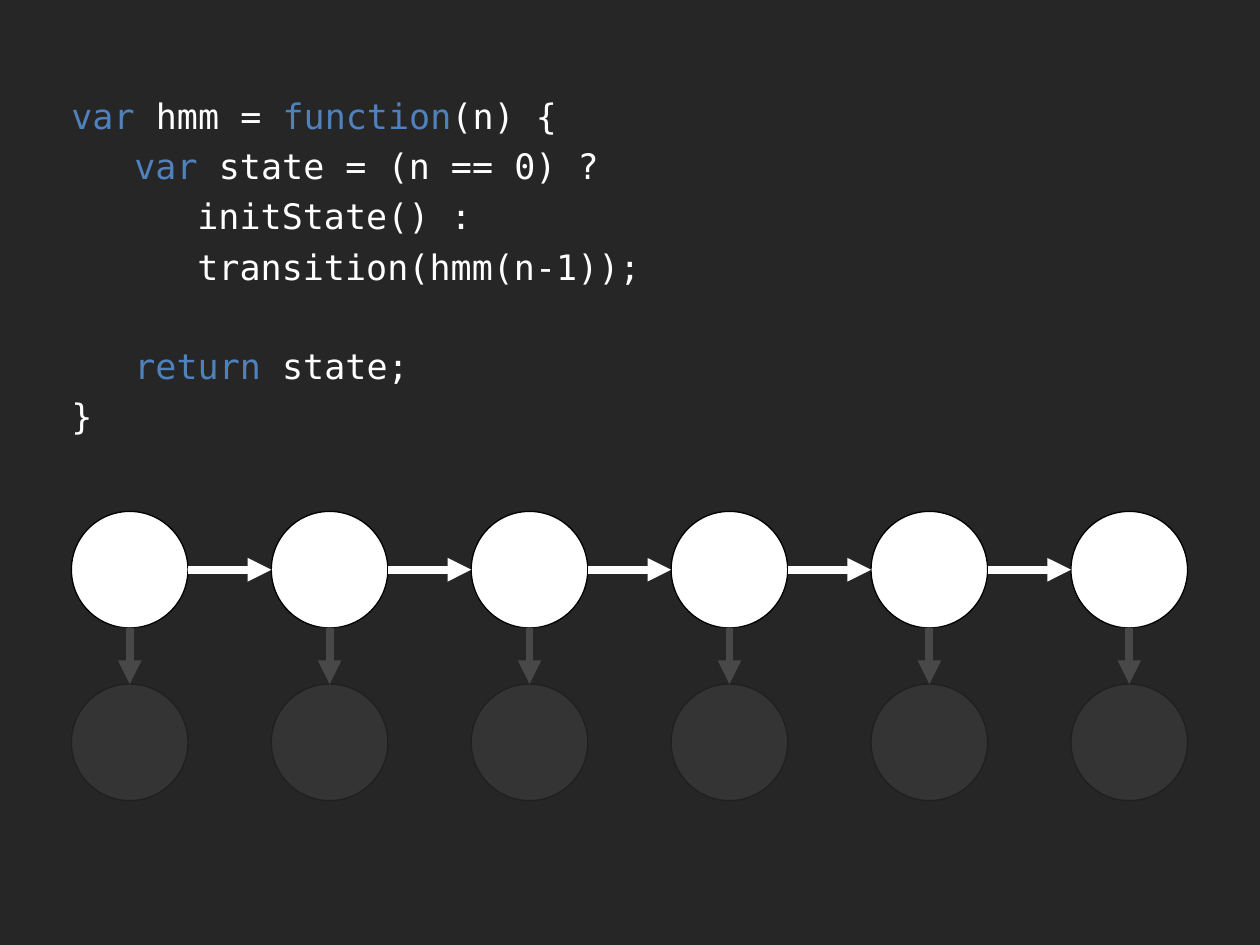
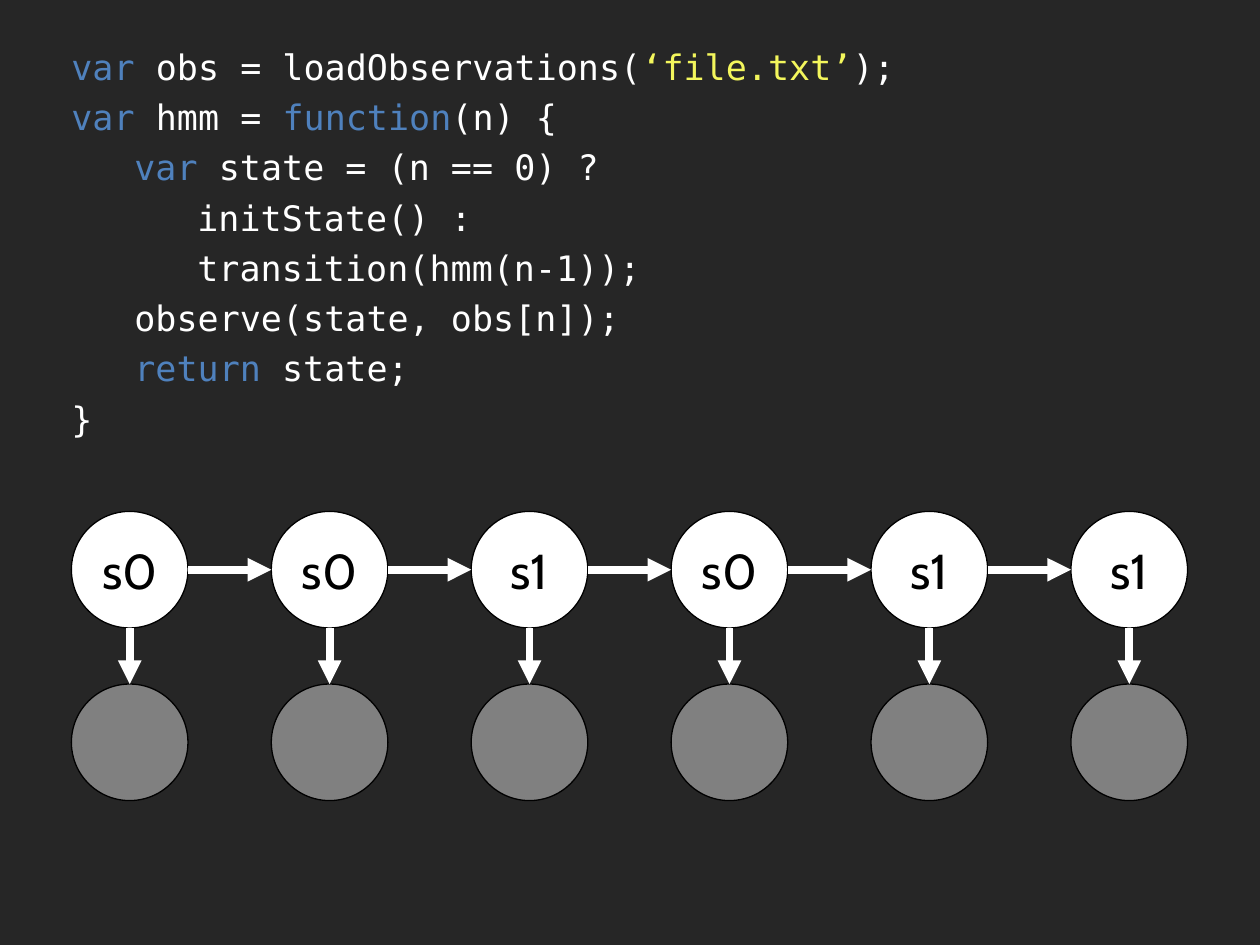
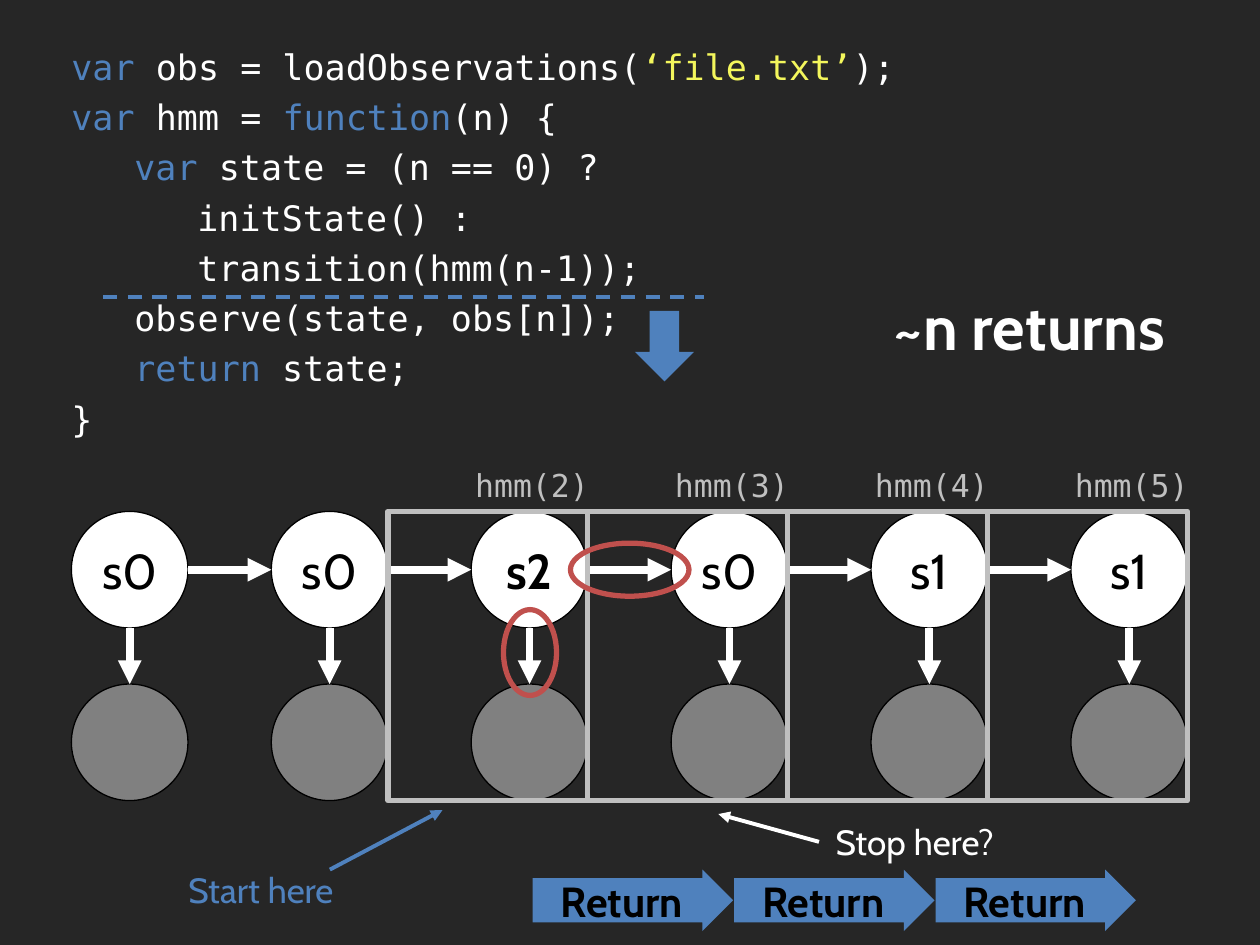
from lxml import etree
from pptx import Presentation
from pptx import util as u
from pptx.dml import color
from pptx.enum import dml, shapes, text
from pptx.oxml import ns

# Shared look
DARK, WHITE, BLACK = "262626", "FFFFFF", "000000"
BLUE, YELLOW, RED = "4F81BD", "F3F65C", "C0504D"
GREY, SILVER = "808080", "BFBFBF"
CODE_FONT, TEXT_FONT = "DejaVu Sans Mono", "Cabin"
TOKENS = {"var ": BLUE, "function": BLUE, "return ": BLUE, "‘file.txt’": YELLOW}

# Shared places, in centimetres
CODE_BOX = (1.19, 0.79, 18.49, 8.74)
LINE_PITCH = 0.99
LINE_GAP = 4.7
INDENT = 1.27
CHAIN_BOX = (1.44, 10.31, 22.5, 5.83)
STEPS, STEP, NODE, ROW = 6, 4.03, 2.35, 3.48

# Code lines as (indent, tokens split by "|")
LOAD = (0, "var |obs = loadObservations(|‘file.txt’|);")
HMM = [
    (0, "var |hmm = |function|(n) {"),
    (1, "var |state = (n == 0) ?"),
    (2, "initState() :"),
    (2, "transition(hmm(n-1));"),
]
OBSERVE = (1, "observe(state, obs[n]);")
END = [(1, "return |state;"), (0, "}")]


def rgb(hex_colour):
    return color.RGBColor.from_string(hex_colour)


def cm(*lengths):
    return [u.Cm(length) for length in lengths]


def add_run(paragraph, words, font=TEXT_FONT, size=20, colour=WHITE, bold=False):
    run = paragraph.add_run()
    run.text = words
    run.font.name = font
    run.font.size = u.Pt(size)
    run.font.bold = bold
    run.font.color.rgb = rgb(colour)


def write(shape, words, **style):
    """Centre one line of text in a shape."""
    frame = shape.text_frame
    frame.word_wrap = False
    frame.vertical_anchor = text.MSO_ANCHOR.MIDDLE
    frame.margin_left = frame.margin_right = 0
    frame.margin_top = frame.margin_bottom = 0
    frame.paragraphs[0].alignment = text.PP_ALIGN.CENTER
    add_run(frame.paragraphs[0], words, **style)


def add_label(slide, box, words, **style):
    write(slide.shapes.add_textbox(*cm(*box)), words, **style)


def add_figure(slide, kind, box, fill=None, line=None, width=0.75, alpha=None):
    figure = slide.shapes.add_shape(kind, *cm(*box))
    figure.shadow.inherit = False
    if fill:
        figure.fill.solid()
        figure.fill.fore_color.rgb = rgb(fill)
        if alpha:
            tint = figure.fill._xPr.find(".//" + ns.qn("a:srgbClr"))
            etree.SubElement(tint, ns.qn("a:alpha"), val=str(alpha * 1000))
    else:
        figure.fill.background()
    if line:
        figure.line.color.rgb = rgb(line)
        figure.line.width = u.Pt(width)
    else:
        figure.line.fill.background()
    return figure


def add_line(slide, start, end, colour=WHITE, width=4.5, arrow=True, dash=None):
    link = slide.shapes.add_connector(
        shapes.MSO_CONNECTOR.STRAIGHT, *cm(*start, *end))
    link.line.color.rgb = rgb(colour)
    link.line.width = u.Pt(width)
    if dash:
        link.line.dash_style = dash
    properties = link._element.spPr
    if arrow:
        etree.SubElement(properties.find(ns.qn("a:ln")), ns.qn("a:tailEnd"),
                         type="triangle")
    etree.SubElement(properties, ns.qn("a:effectLst"))


def add_code(slide, box, lines, gap_before=None):
    """Write code lines; the line numbered gap_before has one free line above."""
    frame = slide.shapes.add_textbox(*cm(*box)).text_frame
    frame.word_wrap = True
    for number, (indent, line) in enumerate(lines):
        paragraph = frame.paragraphs[0] if number == 0 else frame.add_paragraph()
        if number:
            free = u.Cm(LINE_PITCH).pt if number == gap_before else 0
            paragraph.space_before = u.Pt(LINE_GAP + free)
        properties = paragraph._p.get_or_add_pPr()
        properties.set("marL", str(u.Cm(INDENT * indent)))
        properties.set("indent", "0")
        for token in line.split("|"):
            add_run(paragraph, token, font=CODE_FONT,
                    colour=TOKENS.get(token, WHITE))


def add_chain(slide, box, states=(), bold_step=None):
    """Draw hidden states in a row, each with its observation below."""
    left, top = box[:2]
    radius = NODE / 2
    for step in range(STEPS):
        x = left + step * STEP
        state = add_figure(slide, shapes.MSO_SHAPE.OVAL, (x, top, NODE, NODE),
                           WHITE, BLACK)
        if states:
            write(state, states[step], size=28, colour=BLACK,
                  bold=step == bold_step)
        add_figure(slide, shapes.MSO_SHAPE.OVAL, (x, top + ROW, NODE, NODE),
                   GREY, BLACK)
        add_line(slide, (x + radius, top + NODE), (x + radius, top + ROW))
        if step:
            y = top + radius
            add_line(slide, (x - STEP + NODE, y), (x, y))


def add_calls(slide, box, first):
    """Frame each recursive call from step first on, and name it."""
    left, top, _, height = box
    for step in range(STEPS - 1, first - 1, -1):
        right = left + step * STEP + NODE
        add_figure(slide, shapes.MSO_SHAPE.RECTANGLE,
                   (right - STEP, top, STEP, height), line=SILVER, width=3)
        add_label(slide, (right - 2.85, top - 1.03, 3.45, 1), f"hmm({step})",
                  font=CODE_FONT, size=18, colour=SILVER)


def add_rings(slide, box, step):
    """Ring the two links that leave a state."""
    x, y = box[0] + step * STEP, box[1]
    for ring in ((x + 0.65, y + 1.98, 1.07, 1.73), (x + 2, y + 0.64, 2.39, 1.07)):
        add_figure(slide, shapes.MSO_SHAPE.OVAL, ring, line=RED, width=3)


def add_returns(slide, box, count):
    left, top, width, height = box
    for number in range(count):
        arrow = add_figure(slide, shapes.MSO_SHAPE.RIGHT_ARROW,
                           (left + number * 4.06, top, width, height), BLUE)
        arrow.adjustments[0], arrow.adjustments[1] = 0.72, 0.5
        write(arrow, "Return", size=24, colour=BLACK, bold=True)


def add_pointer(slide, box, words, start, end, colour):
    """Write a note and an arrow, whose ends are relative to the note."""
    left, top = box[:2]
    add_label(slide, box, words, colour=colour)
    add_line(slide, (left + start[0], top + start[1]),
             (left + end[0], top + end[1]), colour, 2.25)


def add_resume_point(slide, box):
    """Mark where the code goes on after a call."""
    left, top, width = box[:3]
    add_line(slide, (left, top), (left + width, top), BLUE, 2, arrow=False,
             dash=dml.MSO_LINE.DASH)
    add_figure(slide, shapes.MSO_SHAPE.DOWN_ARROW,
               (left + 10.72, top + 0.28, 1.19, 1.42), BLUE)


def build_prior(slide):
    add_chain(slide, CHAIN_BOX)
    left, top, width, height = CODE_BOX
    add_code(slide, (left, top + LINE_PITCH, width, height - LINE_PITCH),
             HMM + END, gap_before=len(HMM))
    # Veil over the observations
    add_figure(slide, shapes.MSO_SHAPE.RECTANGLE, (0.91, 12.65, 23.37, 3.66),
               DARK, alpha=84)


def build_observed(slide):
    add_chain(slide, CHAIN_BOX, ["s0", "s0", "s1", "s0", "s1", "s1"])
    add_code(slide, CODE_BOX, [LOAD, *HMM, OBSERVE, *END])


def build_returns(slide):
    changed = 2
    add_chain(slide, CHAIN_BOX, ["s0", "s0", "s2", "s0", "s1", "s1"], changed)
    add_calls(slide, CHAIN_BOX, changed)
    add_pointer(slide, (3.1, 17.37, 4.32, 1.12), "Start here",
                (3.55, 0.16), (5.82, -1.04), BLUE)
    add_returns(slide, (10.74, 17.53, 4.04, 1.24), 3)
    add_label(slide, (17.12, 5.66, 7.26, 1.8), "~n returns", size=36, bold=True)
    add_pointer(slide, (16.28, 16.41, 4.32, 1.12), "Stop here?",
                (0.23, 0.56), (-1.8, 0), WHITE)
    add_rings(slide, CHAIN_BOX, changed)
    add_code(slide, CODE_BOX, [LOAD, *HMM, OBSERVE, *END])
    add_resume_point(slide, (2.08, 5.99, 12.12, 1.7))


def main():
    deck = Presentation()
    deck.slide_width, deck.slide_height = cm(25.4, 19.05)
    background = deck.slide_master.background.fill
    background.solid()
    background.fore_color.rgb = rgb(DARK)
    blank = deck.slide_layouts[6]
    for build in (build_prior, build_observed, build_returns):
        build(deck.slides.add_slide(blank))
    deck.save("out.pptx")


if __name__ == "__main__":
    main()
